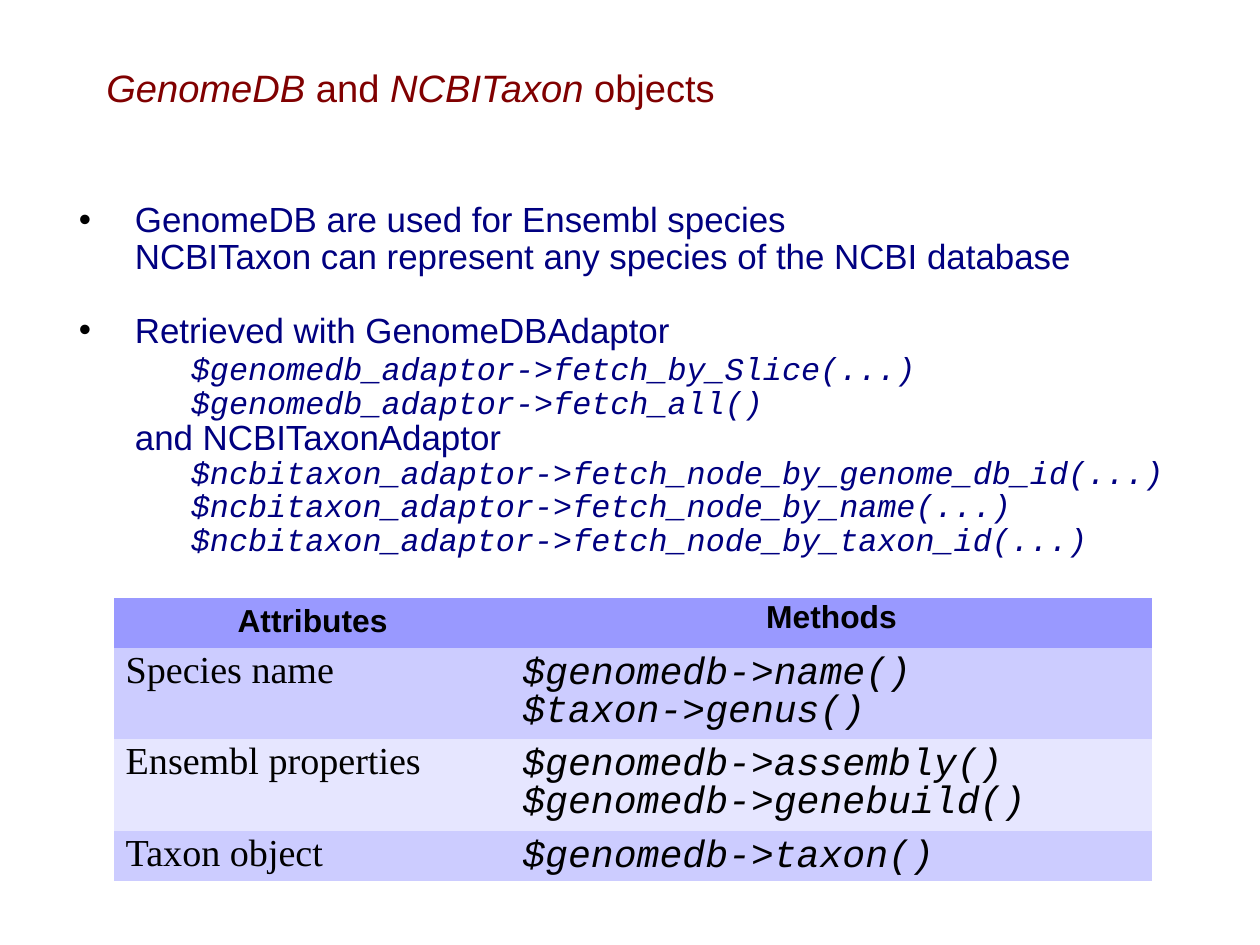
"""Build the slide on GenomeDB and NCBITaxon objects."""
from lxml import etree
from pptx import Presentation
from pptx.dml.color import RGBColor
from pptx.enum import text as t
from pptx.oxml import ns
from pptx.util import Inches, Pt

MAROON = RGBColor(0x80, 0x00, 0x00)
NAVY = RGBColor(0x00, 0x00, 0x80)
BLACK = RGBColor(0x00, 0x00, 0x00)
HEADER_FILL = RGBColor(0x99, 0x99, 0xFF)
BAND_FILLS = [RGBColor(0xCC, 0xCC, 0xFF), RGBColor(0xE6, 0xE6, 0xFF)]
NO_GRID_STYLE = "{2D5ABB26-0587-4C30-8999-92F81FD0307C}"
CODE_FONT = "Courier New"
CM_PER_INCH = 2.54
LINE_SPACING = 0.88
INDENT = 0.49

TITLE = [("GenomeDB", True), (" and ", False), ("NCBITaxon", True), (" objects", False)]
BODY = [
    ("bullet", "GenomeDB are used for Ensembl species", 0),
    ("plain", "NCBITaxon can represent any species of the NCBI database", 0),
    ("bullet", "Retrieved with GenomeDBAdaptor", 23),
    ("code", "$genomedb_adaptor->fetch_by_Slice(...)", 2),
    ("code", "$genomedb_adaptor->fetch_all()", 0),
    ("plain", "and NCBITaxonAdaptor", 0),
    ("code", "$ncbitaxon_adaptor->fetch_node_by_genome_db_id(...)", 0),
    ("code", "$ncbitaxon_adaptor->fetch_node_by_name(...)", 0),
    ("code", "$ncbitaxon_adaptor->fetch_node_by_taxon_id(...)", 0),
]
HEADERS = [("Attributes", 1.0), ("Methods", LINE_SPACING)]
ATTRIBUTES = [
    ("Species name", ["$genomedb->name()", "$taxon->genus()"]),
    ("Ensembl properties", ["$genomedb->assembly()", "$genomedb->genebuild()"]),
    ("Taxon object", ["$genomedb->taxon()"]),
]
COLUMN_WIDTHS = [3.47, 5.61]
ROW_HEIGHTS = [0.44, 0.8, 0.8, 0.44]


def add_text(paragraph, text, size=24, font="Arial", color=BLACK, bold=False,
             italic=False, align=t.PP_ALIGN.LEFT, spacing=LINE_SPACING, before=0):
    paragraph.alignment = align
    paragraph.line_spacing = spacing
    paragraph.space_before = Pt(before)
    run = paragraph.add_run()
    run.text = text
    run.font.size, run.font.name = Pt(size), font
    run.font.bold, run.font.italic = bold, italic
    run.font.color.rgb = color


def set_indent(paragraph, kind):
    props = paragraph._p.get_or_add_pPr()
    props.set("marL", str(Inches(INDENT * (2 if kind == "code" else 1))))
    props.set("indent", str(Inches(-INDENT if kind == "bullet" else 0)))
    if kind == "bullet":
        bullet_color = etree.SubElement(props, ns.qn("a:buClr"))
        etree.SubElement(bullet_color, ns.qn("a:srgbClr"), val=str(BLACK))
        etree.SubElement(props, ns.qn("a:buFont"), typeface="Arial")
        etree.SubElement(props, ns.qn("a:buChar"), char="•")
    else:
        etree.SubElement(props, ns.qn("a:buNone"))


def paragraphs(frame, count):
    return [frame.paragraphs[0]] + [frame.add_paragraph() for _ in range(count - 1)]


def place(placeholder, left, top, width, height, anchor):
    placeholder.left, placeholder.top = Inches(left), Inches(top)
    placeholder.width, placeholder.height = Inches(width), Inches(height)
    frame = placeholder.text_frame
    frame.auto_size = t.MSO_AUTO_SIZE.NONE
    frame.word_wrap = True
    frame.vertical_anchor = anchor
    return frame


def fill_cell(cell, lines, fill, **text_format):
    cell.fill.solid()
    cell.fill.fore_color.rgb = fill
    for paragraph, line in zip(paragraphs(cell.text_frame, len(lines)), lines):
        add_text(paragraph, line, **text_format)


def main():
    prs = Presentation()
    prs.slide_width = Inches(28 / CM_PER_INCH)
    prs.slide_height = Inches(21 / CM_PER_INCH)
    slide = prs.slides.add_slide(prs.slide_layouts[1])
    title, body = slide.placeholders

    heading = place(title, 0.83, 0.2, 9.35, 1.19, t.MSO_ANCHOR.MIDDLE)
    for text, italic in TITLE:
        add_text(heading.paragraphs[0], text, color=MAROON, italic=italic)

    usage = place(body, 0.59, 1.73, 9.7, 3.25, t.MSO_ANCHOR.TOP)
    for paragraph, (kind, text, before) in zip(paragraphs(usage, len(BODY)), BODY):
        set_indent(paragraph, kind)
        code = kind == "code"
        add_text(paragraph, text, color=NAVY, size=20 if code else 22, italic=code,
                 font=CODE_FONT if code else "Arial", before=before)

    methods = slide.shapes.add_table(
        len(ROW_HEIGHTS), len(COLUMN_WIDTHS), Inches(1), Inches(5.23),
        Inches(sum(COLUMN_WIDTHS)), Inches(sum(ROW_HEIGHTS))).table
    methods.first_row = methods.horz_banding = False
    methods._tbl.tblPr.find(ns.qn("a:tableStyleId")).text = NO_GRID_STYLE
    for column, width in zip(methods.columns, COLUMN_WIDTHS):
        column.width = Inches(width)
    for row, height in zip(methods.rows, ROW_HEIGHTS):
        row.height = Inches(height)

    for col, (header, spacing) in enumerate(HEADERS):
        fill_cell(methods.cell(0, col), [header], HEADER_FILL, size=20, bold=True,
                  align=t.PP_ALIGN.CENTER, spacing=spacing)
    for row, (attribute, calls) in enumerate(ATTRIBUTES, start=1):
        fill = BAND_FILLS[(row - 1) % 2]
        fill_cell(methods.cell(row, 0), [attribute], fill, font="Times New Roman")
        fill_cell(methods.cell(row, 1), calls, fill, font=CODE_FONT, italic=True)

    prs.save("out.pptx")


if __name__ == "__main__":
    main()
